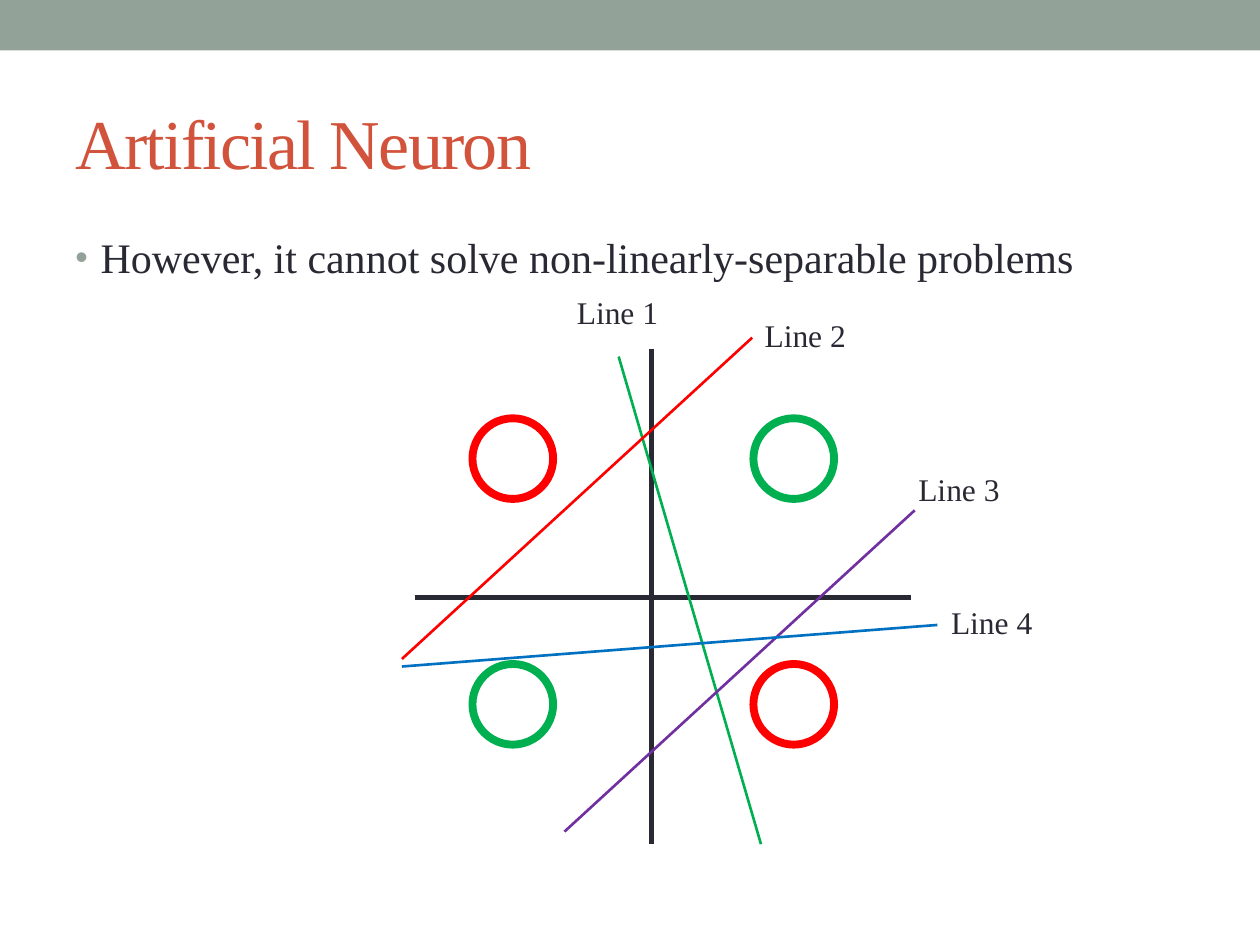
from pptx import Presentation, util as u
from pptx.dml.color import RGBColor
from pptx.enum import shapes, text
from pptx.oxml.ns import qn
from lxml import etree

PX = 9144  # 100 px to the inch
FONT = "Times New Roman"
INK, SAGE, RUST = "292934", "93A299", "D2533C"
RED, GREEN, PURPLE, BLUE = "FF0000", "00B050", "7030A0", "0070C0"


def px(n):
    return u.Emu(n * PX)


def rgb(value):
    return RGBColor.from_string(value)


def add_shape(s, kind, x, y, w, h, fill=None, line=None, weight=1):
    sp = s.shapes.add_shape(kind, px(x), px(y), px(w), px(h))
    sp.shadow.inherit = False
    if fill:
        sp.fill.solid()
        sp.fill.fore_color.rgb = rgb(fill)
    else:
        sp.fill.background()
    if line:
        sp.line.color.rgb = rgb(line)
        sp.line.width = u.Pt(weight)
    else:
        sp.line.fill.background()
    return sp


def add_line(s, x1, y1, x2, y2, color, weight):
    line = s.shapes.add_connector(shapes.MSO_CONNECTOR.STRAIGHT,
                                  px(x1), px(y1), px(x2), px(y2))
    line.line.color.rgb = rgb(color)
    line.line.width = u.Pt(weight)
    etree.SubElement(line._element.spPr, qn("a:effectLst"))
    return line


def add_text(s, words, x, y, w, h, size=18, color=INK, spacing=None,
             anchor=text.MSO_ANCHOR.TOP, bullet=None, inset_top=5):
    """Add a one-paragraph text box; bullet is the colour of its mark."""
    tf = s.shapes.add_textbox(px(x), px(y), px(w), px(h)).text_frame
    tf.word_wrap = True
    tf.vertical_anchor = anchor
    tf.margin_top = px(inset_top)
    p = tf.paragraphs[0]
    if bullet:
        pPr = p._p.get_or_add_pPr()
        pPr.set("marL", str(px(20)))
        pPr.set("indent", str(px(-20)))
        mark = etree.SubElement(pPr, qn("a:buClr"))
        etree.SubElement(mark, qn("a:srgbClr"), val=bullet)
        etree.SubElement(pPr, qn("a:buSzPct"), val="85000")
        etree.SubElement(pPr, qn("a:buFont"), typeface="Arial")
        etree.SubElement(pPr, qn("a:buChar"), char="•")
    r = p.add_run()
    r.text = words
    r.font.name = FONT
    r.font.size = u.Pt(size)
    r.font.color.rgb = rgb(color)
    if spacing is not None:
        r._r.get_or_add_rPr().set("spc", str(spacing * 100))


def add_header(s, x, y, w):
    add_shape(s, shapes.MSO_SHAPE.RECTANGLE, x, y, w, 40, fill=SAGE)
    add_text(s, "Artificial Neuron", x + 50, y + 58, w - 100, 108, size=40,
             color=RUST, spacing=-1, anchor=text.MSO_ANCHOR.MIDDLE)


def add_body(s, x, y, w, h):
    add_text(s, "However, it cannot solve non-linearly-separable problems",
             x, y, w, h, size=24, bullet=SAGE, inset_top=9)


def add_xor_plot(s, x, y):
    """Draw axes, four class rings and the candidate separating lines."""
    add_line(s, x + 198, y + 442, x + 198, y + 49, INK, 3)
    for row, colors in enumerate([(RED, GREEN), (GREEN, RED)]):
        for col, color in enumerate(colors):
            add_shape(s, shapes.MSO_SHAPE.OVAL, x + 56 + col * 223,
                      y + 104 + row * 195, 64, 64, line=color, weight=4.5)
    add_line(s, x + 10, y + 246, x + 404, y + 246, INK, 3)

    # colour, start, end, label corner
    separators = [
        (GREEN, (285, 442), (172, 55), (129, 0)),
        (RED, (0, 295), (278, 40), (278, 18)),
        (PURPLE, (129, 432), (407, 177), (400, 140)),
        (BLUE, (0, 301), (425, 268), (426, 246)),
    ]
    for number, (color, start, end, label) in enumerate(separators, 1):
        add_line(s, x + start[0], y + start[1], x + end[0], y + end[1],
                 color, 1.5)
        add_text(s, f"Line {number}", x + label[0], y + label[1], 100, 40)


def main():
    prs = Presentation()
    prs.slide_width, prs.slide_height = px(1000), px(750)
    s = prs.slides.add_slide(prs.slide_layouts[6])
    add_header(s, 0, 0, 1000)
    add_body(s, 50, 175, 900, 533)
    add_xor_plot(s, 319, 228)
    prs.save("out.pptx")


if __name__ == "__main__":
    main()
